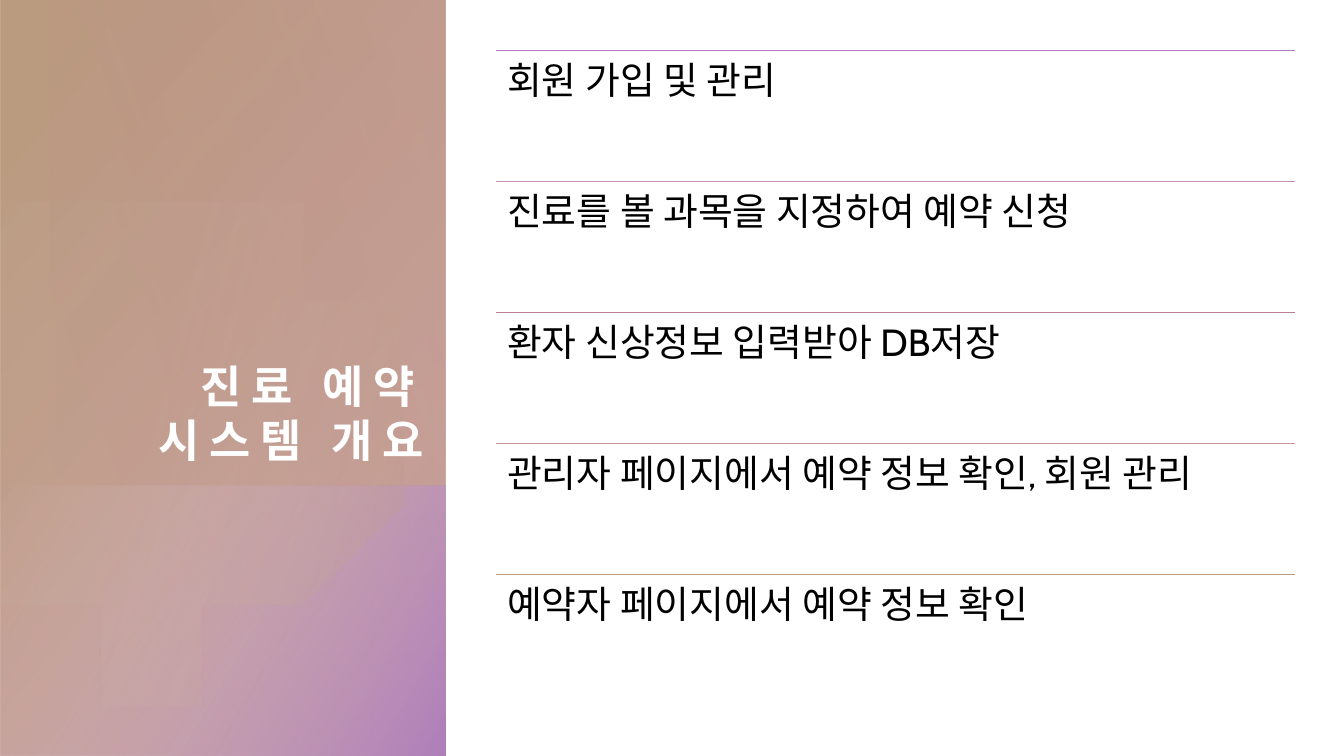
import math
from dataclasses import dataclass

from lxml import etree
from pptx import Presentation
from pptx import util as u
from pptx.dml.color import RGBColor
from pptx.enum import shapes, text
from pptx.oxml import ns


@dataclass(frozen=True)
class Theme:
    """Colours, font and type sizes of the slide."""
    font: str = "Cabin"
    title_size: int = 32
    item_size: int = 27
    white: str = "FFFFFF"
    black: str = "000000"
    tan: str = "BA9B7F"
    sand: str = "D6C3B2"
    rose: str = "C69996"
    blush: str = "DDC2C0"
    mauve: str = "BA7F94"
    orchid: str = "C593B9"
    purple: str = "AF7FBA"


THEME = Theme()
ITEMS = [
    ("회원 가입 및 관리", THEME.purple),
    ("진료를 볼 과목을 지정하여 예약 신청", THEME.orchid),
    ("환자 신상정보 입력받아 DB저장", THEME.mauve),
    ("관리자 페이지에서 예약 정보 확인, 회원 관리", THEME.rose),
    ("예약자 페이지에서 예약 정보 확인", THEME.tan),
]
ITEM_LEFT, ITEM_TOP, ITEM_WIDTH, ITEM_STEP = 4.92, 0.5, 7.92, 1.3


def fill_gradient(shape, stops, angle):
    """Fill a shape with (position, colour, opacity) stops in percent."""
    shape.shadow.inherit = False
    shape.line.fill.background()
    shape.fill.gradient()
    gradient = shape.element.spPr.find(ns.qn("a:gradFill"))
    for child in list(gradient):
        gradient.remove(child)
    stop_list = etree.SubElement(gradient, ns.qn("a:gsLst"))
    for position, colour, opacity in stops:
        stop = etree.SubElement(stop_list, ns.qn("a:gs"), pos=str(position * 1000))
        value = etree.SubElement(stop, ns.qn("a:srgbClr"), val=colour)
        etree.SubElement(value, ns.qn("a:alpha"), val=str(opacity * 1000))
    etree.SubElement(gradient, ns.qn("a:lin"), ang=str(angle * 60000), scaled="0")


def add_panel(page, area, rotation, stops, angle):
    """Add a mirrored, turned rectangle with a gradient."""
    panel = page.shapes.add_shape(
        shapes.MSO_SHAPE.RECTANGLE, *(u.Inches(length) for length in area))
    panel.rotation = rotation
    panel.element.spPr.find(ns.qn("a:xfrm")).set("flipH", "1")
    fill_gradient(panel, stops, angle)


def add_cut_circle(page, centre_x, centre_y, radius, stops, angle):
    """Add a circle cut off at the left edge of the slide."""
    limit = math.acos(-centre_x / radius)
    steps = 90
    turns = [limit * (2 * step / steps - 1) for step in range(steps + 1)]
    points = [(centre_x + radius * math.cos(turn), centre_y + radius * math.sin(turn))
              for turn in turns]
    builder = page.shapes.build_freeform(*points[0], scale=u.Inches(1))
    builder.add_line_segments(points[1:], close=True)
    fill_gradient(builder.convert_to_shape(), stops, angle)


def add_text(page, area, content, size, colour, inset=0.0):
    """Add a wrapped text box and return it."""
    box = page.shapes.add_textbox(*(u.Inches(length) for length in area))
    frame = box.text_frame
    frame.word_wrap = True
    frame.margin_left = frame.margin_right = u.Inches(inset)
    frame.margin_top = frame.margin_bottom = u.Inches(inset)
    frame.text = content
    font = frame.paragraphs[0].runs[0].font
    font.name = THEME.font
    font.size = u.Pt(size)
    font.color.rgb = RGBColor.from_string(colour)
    return box


def add_title(page, content):
    """Add the bold, widely spaced title."""
    box = add_text(page, (0.5, 0.95, 3.71, 3.68), content, THEME.title_size, THEME.white)
    box.text_frame.vertical_anchor = text.MSO_ANCHOR.BOTTOM
    para = box.text_frame.paragraphs[0]
    para.alignment = text.PP_ALIGN.RIGHT
    span = para.runs[0]
    span.font.bold = True
    span.font._element.set("spc", "700")


def add_item(page, top, content, colour):
    """Add one list entry below its coloured rule."""
    rule = page.shapes.add_connector(
        shapes.MSO_CONNECTOR.STRAIGHT, u.Inches(ITEM_LEFT), u.Inches(top),
        u.Inches(ITEM_LEFT + ITEM_WIDTH), u.Inches(top))
    rule.line.color.rgb = RGBColor.from_string(colour)
    rule.line.width = u.Pt(1)
    etree.SubElement(rule.element.spPr, ns.qn("a:effectLst"))
    box = add_text(page, (ITEM_LEFT, top, ITEM_WIDTH, ITEM_STEP), content,
                   THEME.item_size, THEME.black, inset=0.11)
    box.text_frame.paragraphs[0].line_spacing = 0.9


def main():
    """Build and save the slide."""
    deck = Presentation()
    deck.slide_width, deck.slide_height = u.Inches(13.33), u.Inches(7.5)
    page = deck.slides.add_slide(deck.slide_layouts[6])
    add_panel(page, (-1.54, 1.54, 7.5, 4.42), 270,
              [(8, THEME.tan, 100), (100, THEME.rose, 89)], 50)
    add_panel(page, (0.86, 3.95, 2.69, 4.42), 270,
              [(0, THEME.blush, 0), (99, THEME.purple, 100)], 60)
    add_cut_circle(page, 1.6, 4.25, 2.28,
                   [(36, THEME.sand, 6), (100, THEME.tan, 26)], 14)
    add_panel(page, (0.05, 0.45, 4.81, 3.92), 90,
              [(0, THEME.rose, 29), (100, THEME.mauve, 0)], 110)
    add_title(page, "진료 예약 시스템 개요")
    for index, (content, colour) in enumerate(ITEMS):
        add_item(page, ITEM_TOP + index * ITEM_STEP, content, colour)
    deck.save("out.pptx")


if __name__ == "__main__":
    main()
